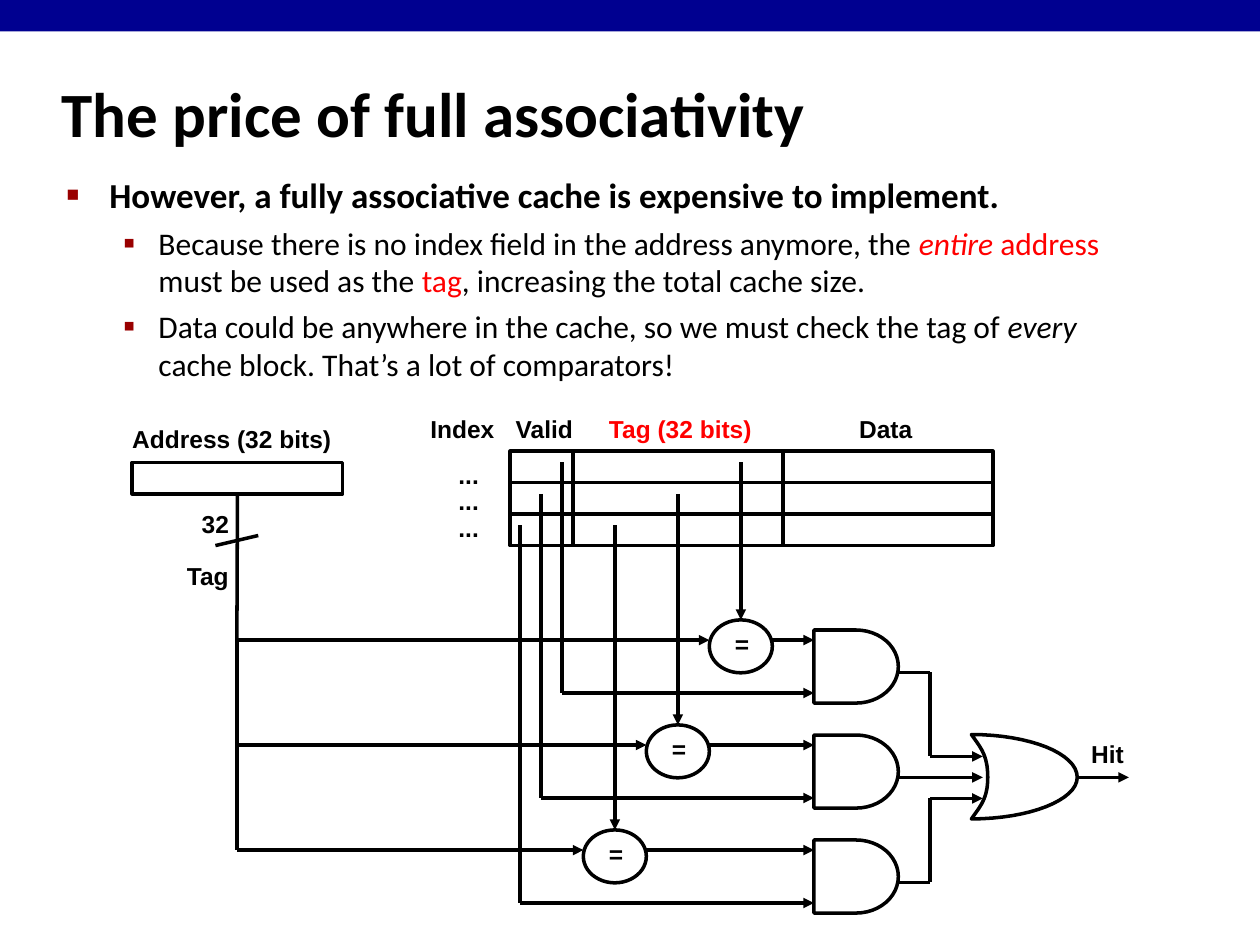
from pptx import Presentation
from pptx.dml.color import RGBColor
from pptx.enum.shapes import MSO_CONNECTOR, MSO_SHAPE
from pptx.enum.text import MSO_ANCHOR, MSO_AUTO_SIZE, PP_ALIGN
from pptx.oxml.ns import qn
from pptx.util import Inches, Pt
from lxml import etree

RECT, OVAL, DELAY = MSO_SHAPE.RECTANGLE, MSO_SHAPE.OVAL, MSO_SHAPE.FLOWCHART_DELAY
STRAIGHT = MSO_CONNECTOR.STRAIGHT
MIDDLE, GROW, NO_FIT = MSO_ANCHOR.MIDDLE, MSO_AUTO_SIZE.SHAPE_TO_FIT_TEXT, MSO_AUTO_SIZE.NONE
LEFT, CENTER = PP_ALIGN.LEFT, PP_ALIGN.CENTER

COLORS = {"black": "000000", "red": "FF0000", "bar": "000090", "bullet": "990000"}
ROWS = 3
ROW_TOP, ROW_H = 3.58, 0.25
LANE = 5 / 6   # drop from one comparator to the next
PIN = 1 / 6    # gap between valid wires and between OR inputs
TRUNK = 1.88   # x of the address wire
BEND = 7.38    # x where the AND outputs turn
OR_MID = 6.17


def rgb(name):
    return RGBColor.from_string(COLORS[name])


def add_run(para, text, size, font="Arial", color="black", bold=True, italic=False):
    run = para.add_run()
    run.text = text
    face = run.font
    face.name, face.size = font, Pt(size)
    face.bold, face.italic = bold, italic
    face.color.rgb = rgb(color)


def style(shape):
    """Give a shape a plain black outline and no fill."""
    shape.shadow.inherit = False
    shape.fill.background()
    shape.line.color.rgb = rgb("black")
    shape.line.width = Pt(2)


def add_box(slide, kind, x, y, w, h):
    shape = slide.shapes.add_shape(kind, Inches(x), Inches(y), Inches(w), Inches(h))
    style(shape)
    return shape


def add_wire(slide, *points, arrow=False):
    """Draw straight lines through the points; return the first one."""
    wires = []
    for (x1, y1), (x2, y2) in zip(points, points[1:]):
        wire = slide.shapes.add_connector(
            STRAIGHT, Inches(x1), Inches(y1), Inches(x2), Inches(y2))
        wire.line.color.rgb = rgb("black")
        wire.line.width = Pt(2)
        etree.SubElement(wire._element.spPr, qn("a:effectLst"))
        wires.append(wire)
    if arrow:
        ln = wires[-1].line._get_or_add_ln()
        etree.SubElement(ln, qn("a:tailEnd"), type="triangle")
    return wires[0]


def add_label(slide, x, y, w, lines, h=0.32, color="black"):
    """Centre lines of text on the point x, y."""
    box = slide.shapes.add_textbox(
        Inches(x - w / 2), Inches(y - h / 2), Inches(w), Inches(h))
    frame = box.text_frame
    frame.word_wrap, frame.auto_size = False, GROW
    frame.vertical_anchor = MIDDLE
    frame.margin_left = frame.margin_right = Inches(0.11)
    frame.margin_top = frame.margin_bottom = Inches(0.06)
    for i, line in enumerate(lines):
        para = frame.add_paragraph() if i else frame.paragraphs[0]
        para.alignment, para.line_spacing = CENTER, 0.9
        add_run(para, line, 14, color=color)


def add_title(slide, text):
    title = slide.shapes.title
    title.left, title.top = Inches(0.39), Inches(0.48)
    title.width, title.height = Inches(8.3), Inches(0.83)
    frame = title.text_frame
    frame.vertical_anchor, frame.auto_size = MIDDLE, NO_FIT
    para = frame.paragraphs[0]
    para.alignment = LEFT
    add_run(para, text, 36, "Calibri")


def set_bullet(para, char, scale, left, hang):
    props = para._p.get_or_add_pPr()
    props.set("marL", str(Inches(left)))
    props.set("indent", str(-Inches(hang)))
    tint = etree.SubElement(props, qn("a:buClr"))
    etree.SubElement(tint, qn("a:srgbClr"), val=COLORS["bullet"])
    etree.SubElement(props, qn("a:buSzPct"), val=str(scale * 1000))
    etree.SubElement(props, qn("a:buFont"), typeface="Arial")
    etree.SubElement(props, qn("a:buChar"), char=char)


def add_body(slide):
    box = slide.shapes.add_textbox(Inches(0.43), Inches(1.33), Inches(8.64), Inches(1.8))
    frame = box.text_frame
    frame.word_wrap = True
    head = frame.paragraphs[0]
    set_bullet(head, "■", 60, 0.34, 0.34)
    add_run(head, "However, a fully associative cache is expensive to implement.", 20, "Calibri")
    points = [
        [("Because there is no index field in the address anymore, the ", "black", False),
         ("entire", "red", True), (" address", "red", False),
         (" must be used as the ", "black", False), ("tag", "red", False),
         (", increasing the total cache size.", "black", False)],
        [("Data could be anywhere in the cache, so we must check the tag of ", "black", False),
         ("every", "black", True),
         (" cache block. That’s a lot of comparators!", "black", False)],
    ]
    for point in points:
        para = frame.add_paragraph()
        para.level = 1
        para.space_before = Pt(4.5)
        set_bullet(para, "▪", 110, 0.73, 0.28)
        for text, color, italic in point:
            add_run(para, text, 18, "Calibri", color, False, italic)


def add_cache(slide):
    for row in range(ROWS):
        for x, w in [(4.05, 0.5), (4.55, 1.67), (6.21, 1.67)]:
            add_box(slide, RECT, x, ROW_TOP + row * ROW_H, w, ROW_H)
    for x, w, text, color in [(3.67, 0.75, "Index", "black"), (4.32, 0.75, "Valid", "black"),
                              (5.4, 1.4, "Tag (32 bits)", "red"),
                              (7.03, 0.7, "Data", "black")]:
        add_label(slide, x, 3.42, w, [text], color=color)
    add_label(slide, 3.72, 3.99, 0.4, ["..."] * ROWS, h=0.76)


def add_address(slide):
    box = add_box(slide, RECT, 1.05, 3.67, 1.67, 0.25)
    ends = [(TRUNK, 3.92)] + [(TRUNK, 5.08 + i * LANE) for i in range(ROWS)]
    add_wire(slide, *ends).begin_connect(box, 2)
    add_wire(slide, (1.71, 4.33), (2.05, 4.25))
    for x, y, w, text in [(1.84, 3.5, 1.85, "Address (32 bits)"),
                          (1.71, 4.17, 0.5, "32"), (1.65, 4.58, 0.6, "Tag")]:
        add_label(slide, x, y, w, [text])


def add_lane(slide, i):
    """Wire one cache row through its comparator and AND gate."""
    drop = i * LANE
    mid, top, y = 5.88 - i * 0.5, 4.92 + drop, 5.08 + drop
    cell = 3.67 + i * ROW_H
    valid, low = 4.46 - i * PIN, 5.5 + drop
    add_box(slide, OVAL, mid - 0.25, top, 0.5, 0.42)
    add_label(slide, mid + 0.01, top + 0.2, 0.35, ["="])
    add_wire(slide, (TRUNK, y), (mid - 0.25, y), arrow=True)
    add_wire(slide, (mid, cell), (mid, top), arrow=True)
    add_wire(slide, (mid + 0.25, y), (6.46, y), arrow=True)
    add_wire(slide, (valid, cell), (valid, low), (6.46, low), arrow=True)
    add_box(slide, DELAY, 6.46, 5 + drop, 0.67, 0.58)
    out, pin = OR_MID + (i - 1) * LANE, OR_MID + (i - 1) * PIN
    bends = [] if i == 1 else [(BEND, out), (BEND, pin)]
    add_wire(slide, (7.13, out), *bends, (7.8, pin), arrow=True)


def curve(a, b, c, d, steps=16):
    """Points along a cubic curve, without its start."""
    for n in range(1, steps + 1):
        t = n / steps
        u = 1 - t
        yield tuple(u**3 * p + 3 * u * u * t * q + 3 * u * t * t * r + t**3 * s
                    for p, q, r, s in zip(a, b, c, d))


def add_or(slide):
    top, low = (7.71, 5.83), (7.71, 6.5)
    back, tip = (7.84, OR_MID), (8.55, OR_MID)
    sides = [(top, (7.78, 5.93), (7.84, 5.99), back),
             (back, (7.84, 6.34), (7.78, 6.4), low),
             (low, (8.17, 6.5), (8.55, 6.35), tip),
             (tip, (8.55, 5.98), (8.17, 5.83), top)]
    spots = [(Inches(x), Inches(y)) for side in sides for x, y in curve(*side)]
    path = slide.shapes.build_freeform(Inches(top[0]), Inches(top[1]))
    path.add_line_segments(spots, close=True)
    style(path.convert_to_shape())
    add_wire(slide, tip, (8.96, OR_MID), arrow=True)
    add_label(slide, 8.79, 6, 0.5, ["Hit"])


def main():
    deck = Presentation()
    deck.slide_width, deck.slide_height = Inches(10), Inches(7.5)
    slide = deck.slides.add_slide(deck.slide_layouts[5])
    bar = add_box(slide, RECT, 0, 0, 10, 0.25)
    bar.fill.solid()
    bar.fill.fore_color.rgb = rgb("bar")
    bar.line.fill.background()
    add_title(slide, "The price of full associativity")
    add_body(slide)
    add_cache(slide)
    add_address(slide)
    for i in range(ROWS):
        add_lane(slide, i)
    add_or(slide)
    deck.save("out.pptx")


if __name__ == "__main__":
    main()
